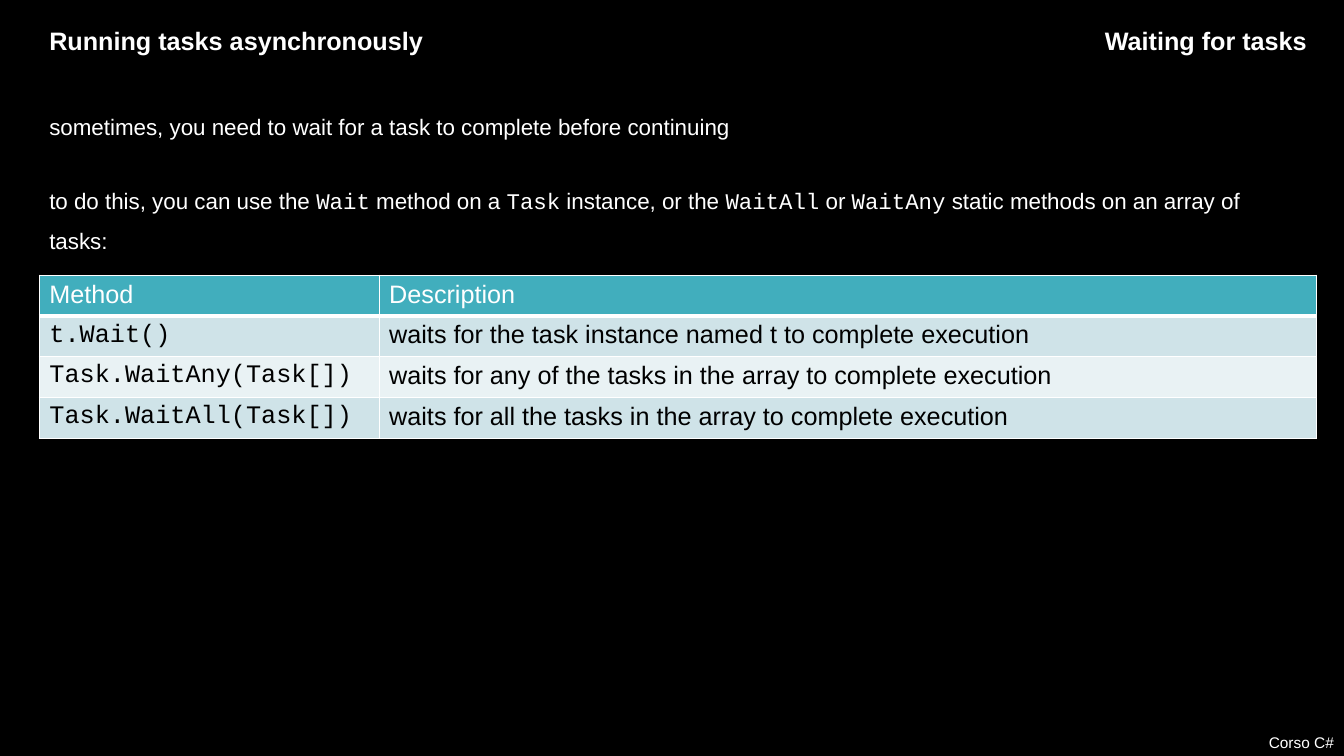
from lxml.etree import SubElement
from pptx import Presentation
from pptx.dml.color import RGBColor
from pptx.enum.text import MSO_AUTO_SIZE, PP_ALIGN
from pptx.oxml.ns import qn
from pptx.util import Inches, Pt

BLACK = RGBColor(0x00, 0x00, 0x00)
WHITE = RGBColor(0xFF, 0xFF, 0xFF)
TEAL = RGBColor(0x41, 0xAE, 0xBD)
PALE_TEAL = RGBColor(0xCF, 0xE3, 0xE8)
PALEST_TEAL = RGBColor(0xE9, 0xF2, 0xF4)

BODY_FONT = "Arial"
CODE_FONT = "Courier New"
LEFT = 2.93

INTRODUCTION = [
    [("sometimes, you need to wait for a task to complete before continuing", BODY_FONT)],
    [
        ("to do this, you can use the ", BODY_FONT),
        ("Wait", CODE_FONT),
        (" method on a ", BODY_FONT),
        ("Task", CODE_FONT),
        (" instance, or the ", BODY_FONT),
        ("WaitAll", CODE_FONT),
        (" or ", BODY_FONT),
        ("WaitAny", CODE_FONT),
        (" static methods on an array of tasks:", BODY_FONT),
    ],
]

METHODS = [
    ("Method", "Description"),
    ("t.Wait()", "waits for the task instance named t to complete execution"),
    ("Task.WaitAny(Task[])", "waits for any of the tasks in the array to complete execution"),
    ("Task.WaitAll(Task[])", "waits for all the tasks in the array to complete execution"),
]


class SlideBuilder:
    def __init__(self, presentation):
        self.column = presentation.slide_width / 100
        self.row = presentation.slide_height / 100
        self.slide = presentation.slides.add_slide(presentation.slide_layouts[6])
        background = self.slide.background.fill
        background.solid()
        background.fore_color.rgb = BLACK

    def place(self, left, top, width, height):
        return (
            round(left * self.column),
            round(top * self.row),
            round(width * self.column),
            round(height * self.row),
        )

    def run(self, paragraph, text, size, font=BODY_FONT, color=WHITE, bold=False):
        run = paragraph.add_run()
        run.text = text
        run.font.name = font
        run.font.size = Pt(size)
        run.font.bold = bold
        run.font.color.rgb = color

    def text(self, area, paragraphs, size, align=PP_ALIGN.LEFT, bold=False,
             wrap=True, space_before=24, line_spacing=1.0):
        frame = self.slide.shapes.add_textbox(*self.place(*area)).text_frame
        frame.word_wrap = wrap
        frame.auto_size = MSO_AUTO_SIZE.SHAPE_TO_FIT_TEXT
        for index, runs in enumerate(paragraphs):
            paragraph = frame.add_paragraph() if index else frame.paragraphs[0]
            paragraph.alignment = align
            paragraph.space_before = Pt(space_before)
            paragraph.line_spacing = line_spacing
            for text, font in runs:
                self.run(paragraph, text, size, font, bold=bold)

    def borders(self, cell, top, bottom):
        properties = cell._tc.get_or_add_tcPr()
        for side, width in (("L", 1), ("R", 1), ("T", top), ("B", bottom)):
            line = SubElement(properties, qn(f"a:ln{side}"), w=str(Pt(width)))
            fill = SubElement(line, qn("a:solidFill"))
            SubElement(fill, qn("a:srgbClr"), val=str(WHITE))

    def table(self, area, rows, column_widths, size):
        shape = self.slide.shapes.add_table(len(rows), len(column_widths), *self.place(*area))
        table = shape.table
        for column, width in zip(table.columns, column_widths):
            column.width = round(width * self.column)
        for row_index, texts in enumerate(rows):
            header = row_index == 0
            band = PALE_TEAL if row_index % 2 else PALEST_TEAL
            if row_index == len(rows) - 1:
                band = PALE_TEAL
            for column_index, text in enumerate(texts):
                cell = table.cell(row_index, column_index)
                self.borders(cell, 3 if row_index == 1 else 1, 3 if header else 1)
                cell.fill.solid()
                cell.fill.fore_color.rgb = TEAL if header else band
                font = CODE_FONT if column_index == 0 and not header else BODY_FONT
                color = WHITE if header else BLACK
                self.run(cell.text_frame.paragraphs[0], text, size, font, color)


def main():
    presentation = Presentation()
    presentation.slide_width = Inches(13.33)
    presentation.slide_height = Inches(7.5)
    builder = SlideBuilder(presentation)
    builder.text((0, 96.27, 100, 3.87), [[("Corso C#", BODY_FONT)]], 11,
                 align=PP_ALIGN.RIGHT, space_before=0)
    builder.text((LEFT, 2.67, 29.63, 5.33), [[("Running tasks asynchronously", BODY_FONT)]], 18,
                 bold=True, wrap=False)
    builder.text((43.89, 2.67, 54.09, 5.33), [[("Waiting for tasks", BODY_FONT)]], 18,
                 align=PP_ALIGN.RIGHT, bold=True)
    builder.text((LEFT, 12.53, 93.92, 21.33), INTRODUCTION, 16, line_spacing=1.5)
    builder.table((LEFT, 36.4, 95.05, 21.6), METHODS, (25.28, 69.77), 18)
    presentation.save("out.pptx")


if __name__ == "__main__":
    main()
